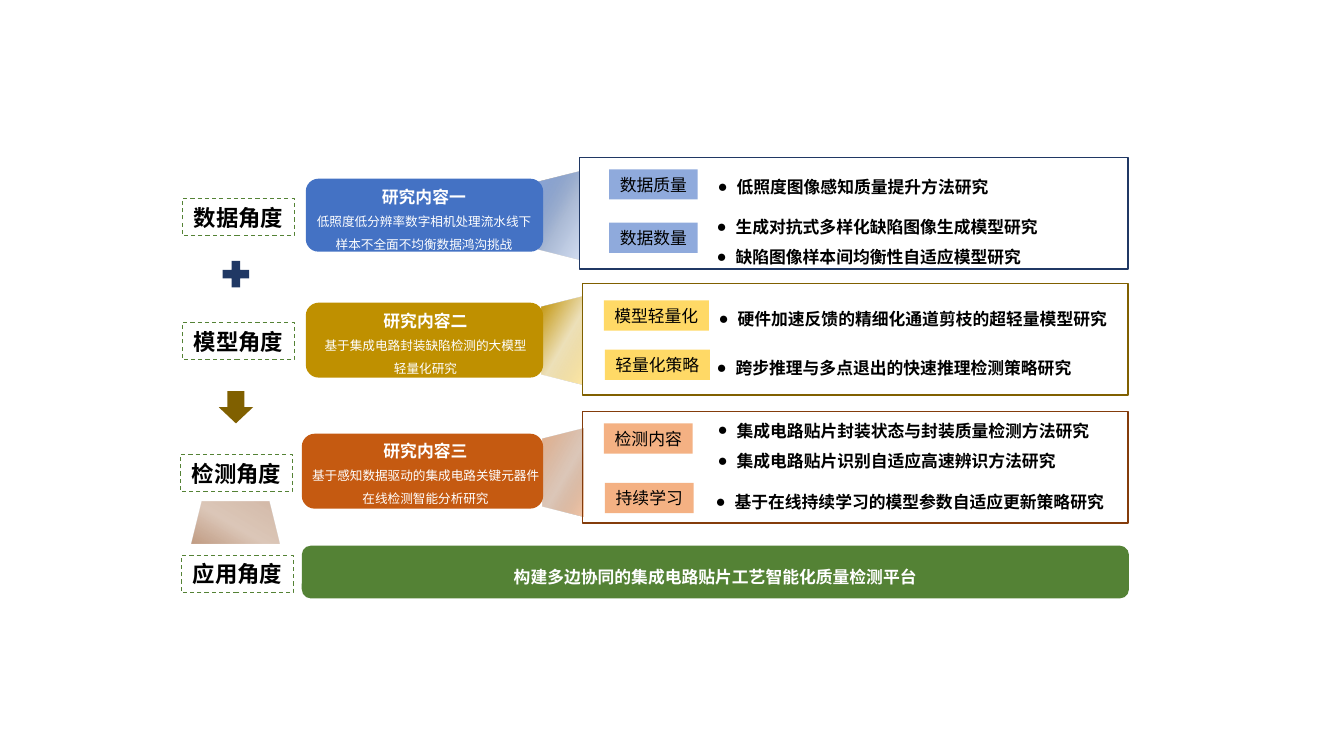
from pptx import Presentation
from pptx.dml.color import RGBColor
from pptx.enum.dml import MSO_LINE
from pptx.enum.shapes import MSO_SHAPE
from pptx.enum.text import MSO_AUTO_SIZE, PP_ALIGN
from pptx.oxml import parse_xml
from pptx.oxml.ns import qn
from pptx.util import Pt

PX = 9144  # 100 px to the inch
RECT, ROUND = MSO_SHAPE.RECTANGLE, MSO_SHAPE.ROUNDED_RECTANGLE
TRAP, PLUS, DOWN = MSO_SHAPE.TRAPEZOID, MSO_SHAPE.MATH_PLUS, MSO_SHAPE.DOWN_ARROW
LEFT, CENTER = PP_ALIGN.LEFT, PP_ALIGN.CENTER
DASH, GROW = MSO_LINE.DASH, MSO_AUTO_SIZE.SHAPE_TO_FIT_TEXT
SANS, SERIF = "Noto Sans CJK SC", "Times New Roman"
NS = 'xmlns:a="http://schemas.openxmlformats.org/drawingml/2006/main"'

BLACK, WHITE = RGBColor(0, 0, 0), RGBColor(255, 255, 255)
NAVY, BLUE = RGBColor(0x20, 0x38, 0x64), RGBColor(0x44, 0x72, 0xC4)
STEEL, SKY = RGBColor(0x2F, 0x55, 0x97), RGBColor(0x8F, 0xAA, 0xDC)
OLIVE, GOLD = RGBColor(0x80, 0x60, 0), RGBColor(0xBF, 0x90, 0)
YELLOW = RGBColor(0xFF, 0xD9, 0x66)
BROWN, RUST = RGBColor(0x84, 0x3C, 0x0B), RGBColor(0xC5, 0x5A, 0x11)
PEACH, GREEN = RGBColor(0xF4, 0xB1, 0x83), RGBColor(0x54, 0x82, 0x35)

deck = Presentation()
deck.slide_width, deck.slide_height = 1333 * PX, 750 * PX
slide = deck.slides.add_slide(deck.slide_layouts[6])


def draw(kind, box, fill=None, line=None, width=1, turn=0):
    """Add a shape; a list as fill holds (colour, opacity) gradient stops."""
    shape = slide.shapes.add_shape(kind, *(n * PX for n in box))
    shape.shadow.inherit = False
    shape.rotation = turn
    if isinstance(fill, list):
        stops = "".join(
            f'<a:gs pos="{pos}000"><a:srgbClr val="{tone}">'
            f'<a:alpha val="{part}000"/></a:srgbClr></a:gs>'
            for pos, (tone, part) in zip((0, 54, 100), fill))
        shape.element.spPr.find(qn("a:prstGeom")).addnext(parse_xml(
            f'<a:gradFill {NS} rotWithShape="1"><a:gsLst>{stops}</a:gsLst>'
            '<a:lin ang="7200000" scaled="0"/></a:gradFill>'))
    elif fill is None:
        shape.fill.background()
    else:
        shape.fill.solid()
        shape.fill.fore_color.rgb = fill
    if line is None:
        shape.line.fill.background()
    else:
        shape.line.color.rgb = line
        shape.line.width = Pt(width)
    return shape


def write(lines, box=None, shape=None, sizes=(12,), bold=True, color=BLACK,
          font=SERIF, align=CENTER, space=1.5, dots=False):
    """Write paragraphs into a shape or a new text box; sizes[0] is the head."""
    wrap = shape is None
    if wrap:
        shape = slide.shapes.add_textbox(*(n * PX for n in box))
    frame = shape.text_frame
    frame.word_wrap = wrap
    frame.auto_size = GROW
    for i, line in enumerate(lines):
        para = frame.paragraphs[0] if i == 0 else frame.add_paragraph()
        para.alignment = align
        para.line_spacing = space
        run = para.add_run()
        run.text = line
        face = run.font
        face.size = Pt(sizes[min(i, len(sizes) - 1)])
        face.bold = bold and (i == 0 or len(sizes) == 1)
        face.color.rgb = color
        face.name = font
        run._r.get_or_add_rPr().find(qn("a:latin")).addnext(
            parse_xml(f'<a:ea {NS} typeface="{SANS}"/>'))
        if dots:
            props = para._p.get_or_add_pPr()
            props.set("marL", "171450")
            props.set("indent", "-171450")
            props.append(parse_xml(f'<a:buFont {NS} typeface="{SERIF}"/>'))
            props.append(parse_xml(f'<a:buChar {NS} char="●"/>'))


# Topics: beam, frame, card, card text, tags, bullet lists
topics = [
    dict(beam=(511, 193), tones=[(SKY, 100), (STEEL, 41), (SKY, 40)],
         frame=(575, 156, 544, 111), edge=NAVY,
         card=(304, 178, 234, 71), fill=BLUE, note=(304, 170, 233, 82),
         text=["研究内容一", "低照度低分辨率数字相机处理流水线下样本不全面不均衡数据鸿沟挑战"],
         tint=SKY, wide=88,
         tags=[("数据质量", 604, 168), ("数据数量", 604, 221)],
         lists=[((702, 160, 377, 37), ["低照度图像感知质量提升方法研究"]),
                ((701, 200, 367, 67), ["生成对抗式多样化缺陷图像生成模型研究",
                                       "缺陷图像样本间均衡性自适应模型研究"])]),
    dict(beam=(514, 317), tones=[(GOLD, 100), (GOLD, 27), (YELLOW, 58)],
         frame=(578, 281, 541, 111), edge=OLIVE,
         card=(304, 301, 234, 73), fill=GOLD, note=(304, 293, 236, 82),
         text=["研究内容二", "基于集成电路封装缺陷检测的大模型", "轻量化研究"],
         tint=YELLOW, wide=104,
         tags=[("模型轻量化", 599, 298), ("轻量化策略", 600, 347)],
         lists=[((703, 291, 407, 37), ["硬件加速反馈的精细化通道剪枝的超轻量模型研究"]),
                ((701, 340, 375, 37), ["跨步推理与多点退出的快速推理检测策略研究"])]),
    dict(beam=(515, 448), tones=[(RUST, 49), (BROWN, 28), (PEACH, 70)],
         frame=(578, 408, 541, 111), edge=BROWN,
         card=(300, 431, 238, 73), fill=RUST, note=(296, 422, 252, 82),
         text=["研究内容三", "基于感知数据驱动的集成电路关键元器件在线检测智能分析研究"],
         tint=PEACH, wide=88,
         tags=[("检测内容", 599, 420), ("持续学习", 600, 479)],
         lists=[((702, 402, 402, 67), ["集成电路贴片封装状态与封装质量检测方法研究",
                                       "集成电路贴片识别自适应高速辨识方法研究"]),
                ((700, 473, 407, 37), ["基于在线持续学习的模型参数自适应更新策略研究"])]),
]
for t in topics:
    draw(TRAP, (*t["beam"], 87, 41), t["tones"], turn=270)
    draw(RECT, t["frame"], line=t["edge"])
    draw(ROUND, t["card"], t["fill"], t["fill"])
    write(t["text"], t["note"], sizes=(12, 9), color=WHITE, font=SANS)
    for name, x, y in t["tags"]:
        tag = draw(RECT, (x, y, t["wide"], 30), t["tint"])
        write([name], shape=tag, bold=False, space=1.0)
    for box, lines in t["lists"]:
        write(lines, box, align=LEFT, dots=True)

# Angles on the left
for name, x, y in [("数据角度", 181, 197), ("模型角度", 181, 320),
                   ("检测角度", 179, 451), ("应用角度", 180, 551)]:
    label = draw(RECT, (x, y, 111, 37), line=GREEN, width=0.75)
    label.line.dash_style = DASH
    write([name], shape=label, sizes=(16,), space=1.0)

# Signs between the angles
draw(PLUS, (216, 254, 36, 36), NAVY)
draw(DOWN, (217, 388, 34, 32), OLIVE)
draw(TRAP, (190, 498, 87, 41), [(BROWN, 36), (BROWN, 28), (BROWN, 51)])

# Platform bar
draw(ROUND, (300, 542, 819, 51), GREEN, GREEN)
write(["构建多边协同的集成电路贴片工艺智能化质量检测平台"],
      (300, 547, 819, 37), color=WHITE)

deck.save("out.pptx")
